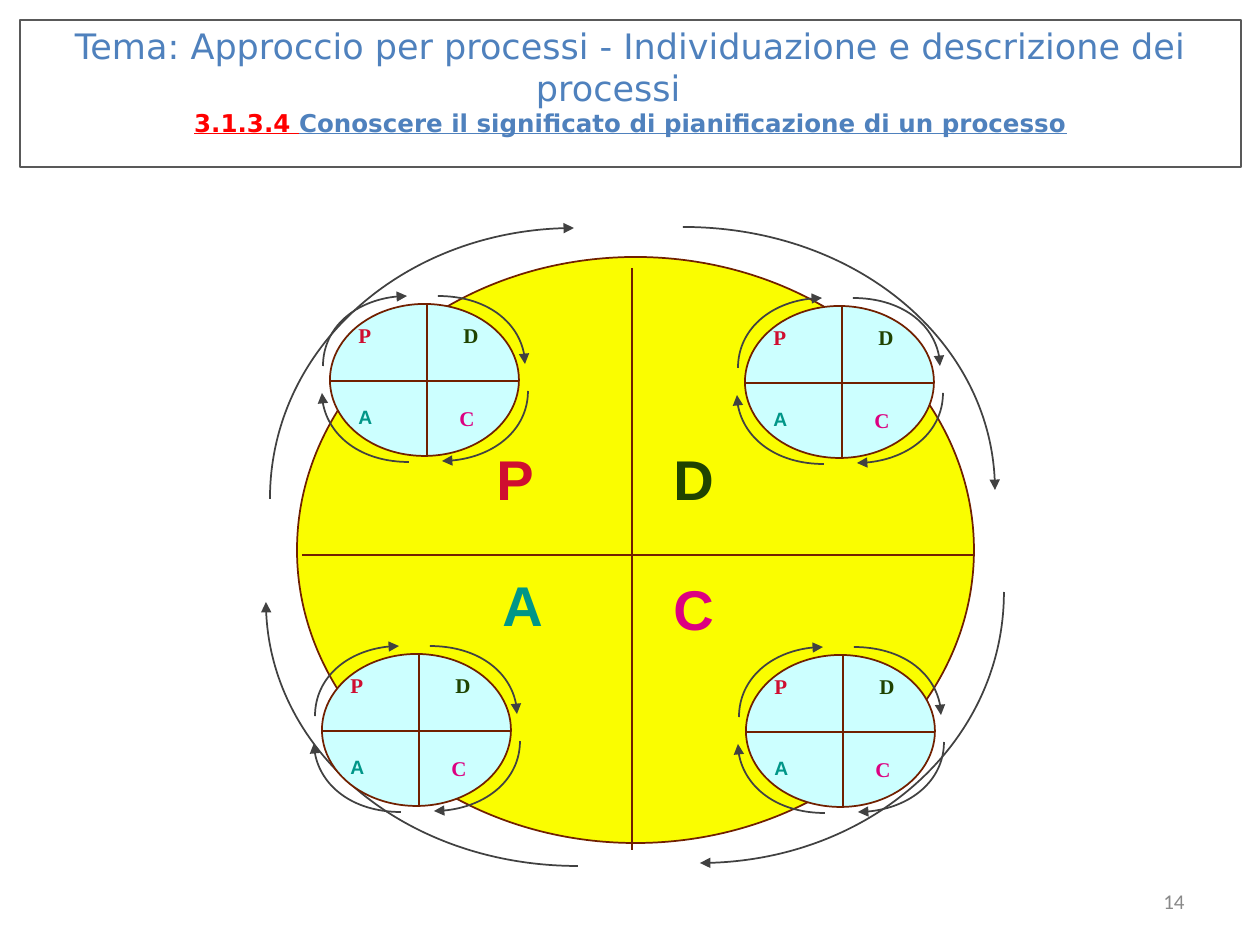
from dataclasses import dataclass

from lxml import etree
from pptx import Presentation
from pptx.dml.color import RGBColor
from pptx.enum.shapes import MSO_CONNECTOR, MSO_SHAPE
from pptx.enum.text import MSO_ANCHOR, PP_ALIGN
from pptx.oxml.ns import qn
from pptx.util import Emu, Pt

RECT, OVAL = MSO_SHAPE.RECTANGLE, MSO_SHAPE.OVAL
STRAIGHT = MSO_CONNECTOR.STRAIGHT
TOP, MIDDLE = MSO_ANCHOR.TOP, MSO_ANCHOR.MIDDLE
LEFT, CENTER, RIGHT = PP_ALIGN.LEFT, PP_ALIGN.CENTER, PP_ALIGN.RIGHT
EMU_PER_PX = 914400 / 126
KAPPA = 0.5523  # control length of a quarter ellipse


@dataclass(frozen=True)
class Theme:
    heading: str = "4F81BD"
    code: str = "FF0000"
    frame: str = "595959"
    number: str = "898989"
    outline: str = "712000"
    arrow: str = "414141"
    big_fill: str = "FAFD00"
    small_fill: str = "CCFFFF"
    plan: str = "CF0E30"
    do: str = "1F4300"
    check: str = "DC0081"
    act: str = "009688"
    heading_font: str = "DejaVu Sans"
    number_font: str = "Calibri"
    sans: str = "Arial"
    serif: str = "Times New Roman"
    heading_size: int = 20
    subheading_size: int = 14
    number_size: int = 12
    big_size: int = 32
    small_size: int = 12
    small_act_size: int = 11
    line: float = 1
    frame_line: float = 0.75


T = Theme()


@dataclass(frozen=True)
class Letter:
    text: str
    x: int
    y: int
    w: int
    h: int
    color: str
    font: str
    size: int


@dataclass(frozen=True)
class Arc:
    x1: int
    y1: int
    x2: int
    y2: int
    starts_upright: bool


@dataclass(frozen=True)
class Wheel:
    """One plan-do-check-act wheel; all places are relative to its ellipse."""
    w: int
    h: int
    fill: str
    axes: tuple[tuple[int, int, int, int], ...]
    letters: tuple[Letter, ...]
    arcs: tuple[Arc, ...]


BIG = Wheel(
    677, 586, T.big_fill,
    ((335, 11, 335, 593), (5, 298, 677, 298)),
    (Letter("P", 187, 181, 113, 113, T.plan, T.sans, T.big_size),
     Letter("D", 364, 181, 107, 113, T.do, T.sans, T.big_size),
     Letter("C", 364, 311, 107, 113, T.check, T.sans, T.big_size),
     Letter("A", 193, 307, 107, 113, T.act, T.sans, T.big_size)),
    (Arc(707, 335, 403, 606, True), Arc(281, 609, -31, 345, False),
     Arc(-27, 242, 277, -29, True), Arc(386, -30, 698, 233, False)),
)
SMALL = Wheel(
    189, 152, T.small_fill,
    ((97, 0, 97, 152), (1, 77, 189, 77)),
    (Letter("P", 16, 12, 62, 50, T.plan, T.serif, T.small_size),
     Letter("D", 121, 12, 68, 50, T.do, T.serif, T.small_size),
     Letter("C", 117, 95, 68, 50, T.check, T.serif, T.small_size),
     Letter("A", 16, 95, 68, 50, T.act, T.sans, T.small_act_size)),
    (Arc(198, 87, 112, 157, True), Arc(79, 158, -8, 89, False),
     Arc(-7, 62, 77, -8, True), Arc(108, -8, 195, 60, False)),
)
SMALL_ORIGINS = ((330, 304), (745, 306), (746, 655), (322, 654))


def px(n: float) -> Emu:
    return Emu(round(n * EMU_PER_PX))


def rgb(color: str) -> RGBColor:
    return RGBColor.from_string(color)


def set_font(font, name: str, size: int, color: str, bold: bool = False) -> None:
    font.name, font.size, font.bold = name, Pt(size), bold
    font.color.rgb = rgb(color)


def set_line(sp, color: str, width: float) -> None:
    sp.line.color.rgb = rgb(color)
    sp.line.width = Pt(width)


def add_text(s, text: str, box: tuple[int, int, int, int], font: str, size: int,
             color: str, bold: bool = False, align=LEFT, anchor=TOP) -> None:
    tf = s.shapes.add_textbox(*map(px, box)).text_frame
    tf.word_wrap = True
    tf.vertical_anchor = anchor
    p = tf.paragraphs[0]
    p.text, p.alignment = text, align
    set_font(p.font, font, size, color, bold)


def add_axis(s, x1: int, y1: int, x2: int, y2: int) -> None:
    cx = s.shapes.add_connector(STRAIGHT, px(x1), px(y1), px(x2), px(y2))
    set_line(cx, T.outline, T.line)
    etree.SubElement(cx._element.spPr, qn("a:effectLst"))


def add_arc(s, arc: Arc, x: int, y: int) -> None:
    """Draw a quarter ellipse as one Bézier curve with an arrowhead at its end."""
    x1, y1, x2, y2 = arc.x1 + x, arc.y1 + y, arc.x2 + x, arc.y2 + y
    dx, dy = (x2 - x1) * KAPPA, (y2 - y1) * KAPPA
    if arc.starts_upright:
        points = ((x1, y1 + dy), (x2 - dx, y2), (x2, y2))
    else:
        points = ((x1 + dx, y1), (x2, y2 - dy), (x2, y2))
    fb = s.shapes.build_freeform(px(x1), px(y1))
    fb.add_line_segments([(px(a), px(b)) for a, b in points], close=False)
    sp = fb.convert_to_shape()
    path = sp._element.spPr.find(".//" + qn("a:path"))
    curve = etree.SubElement(path, qn("a:cubicBezTo"))
    for segment in path.findall(qn("a:lnTo")):
        curve.append(segment[0])
        path.remove(segment)
    sp.shadow.inherit = False
    sp.fill.background()
    set_line(sp, T.arrow, T.line)
    etree.SubElement(sp.line._get_or_add_ln(), qn("a:tailEnd"), type="triangle")


def add_wheel(s, wheel: Wheel, x: int, y: int) -> None:
    sp = s.shapes.add_shape(OVAL, px(x), px(y), px(wheel.w), px(wheel.h))
    sp.shadow.inherit = False
    sp.fill.solid()
    sp.fill.fore_color.rgb = rgb(wheel.fill)
    set_line(sp, T.outline, T.line)
    for x1, y1, x2, y2 in wheel.axes:
        add_axis(s, x + x1, y + y1, x + x2, y + y2)
    for t in wheel.letters:
        add_text(s, t.text, (x + t.x, y + t.y, t.w, t.h), t.font, t.size, t.color, bold=True)
    for arc in wheel.arcs:
        add_arc(s, arc, x, y)


def add_title(s) -> None:
    sp = s.shapes.add_shape(RECT, px(20), px(20), px(1221), px(147))
    sp.shadow.inherit = False
    sp.fill.background()
    set_line(sp, T.frame, T.frame_line)
    tf = sp.text_frame
    tf.word_wrap, tf.vertical_anchor = True, TOP
    tf.margin_left = tf.margin_right = 0
    tf.margin_top = px(4)
    p = tf.paragraphs[0]
    p.alignment = CENTER
    r = p.add_run()
    r.text = "Tema: Approccio per processi - Individuazione e descrizione dei processi\t"
    set_font(r.font, T.heading_font, T.heading_size, T.heading)
    p.add_line_break()
    for text, color in (("3.1.3.4 ", T.code),
                        ("Conoscere il significato di pianificazione di un processo", T.heading)):
        r = p.add_run()
        r.text = text
        set_font(r.font, T.heading_font, T.subheading_size, color, bold=True)
        r.font.underline = True


def main() -> None:
    prs = Presentation()
    prs.slide_width, prs.slide_height = px(1260), px(945)
    s = prs.slides.add_slide(prs.slide_layouts[6])
    add_title(s)
    add_text(s, "14", (903, 876, 294, 50), T.number_font, T.number_size, T.number,
             align=RIGHT, anchor=MIDDLE)
    add_wheel(s, BIG, 297, 257)
    for x, y in SMALL_ORIGINS:
        add_wheel(s, SMALL, x, y)
    prs.save("out.pptx")


if __name__ == "__main__":
    main()
